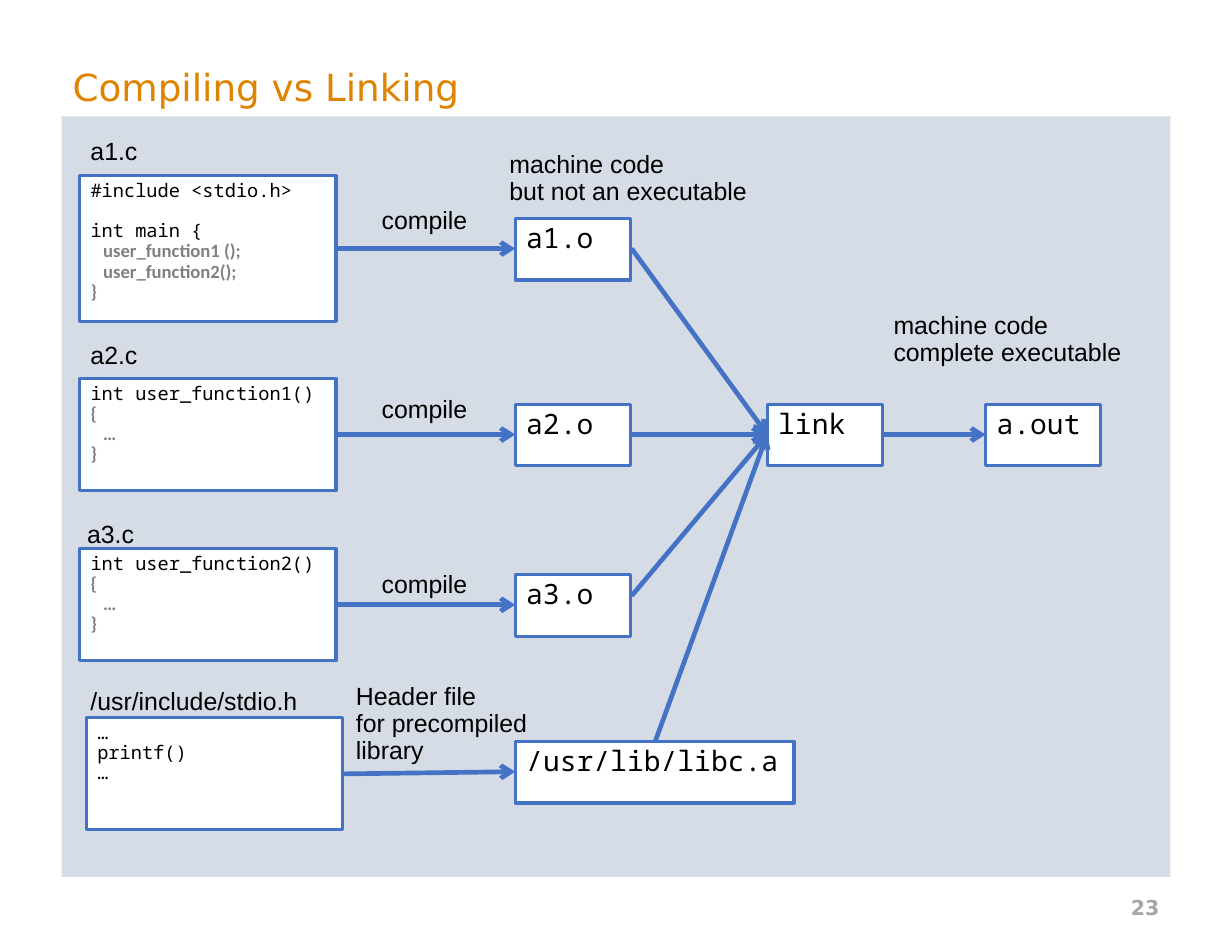
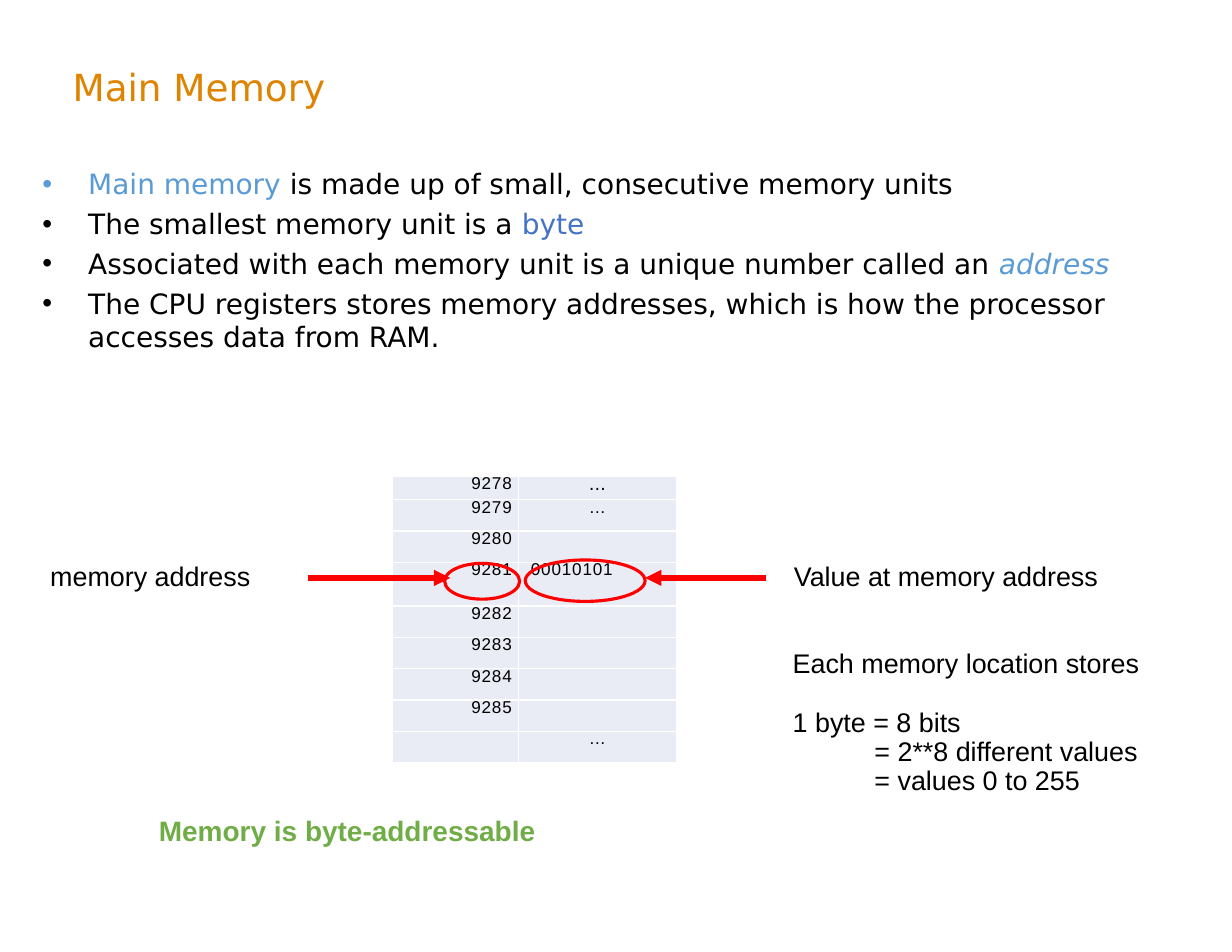
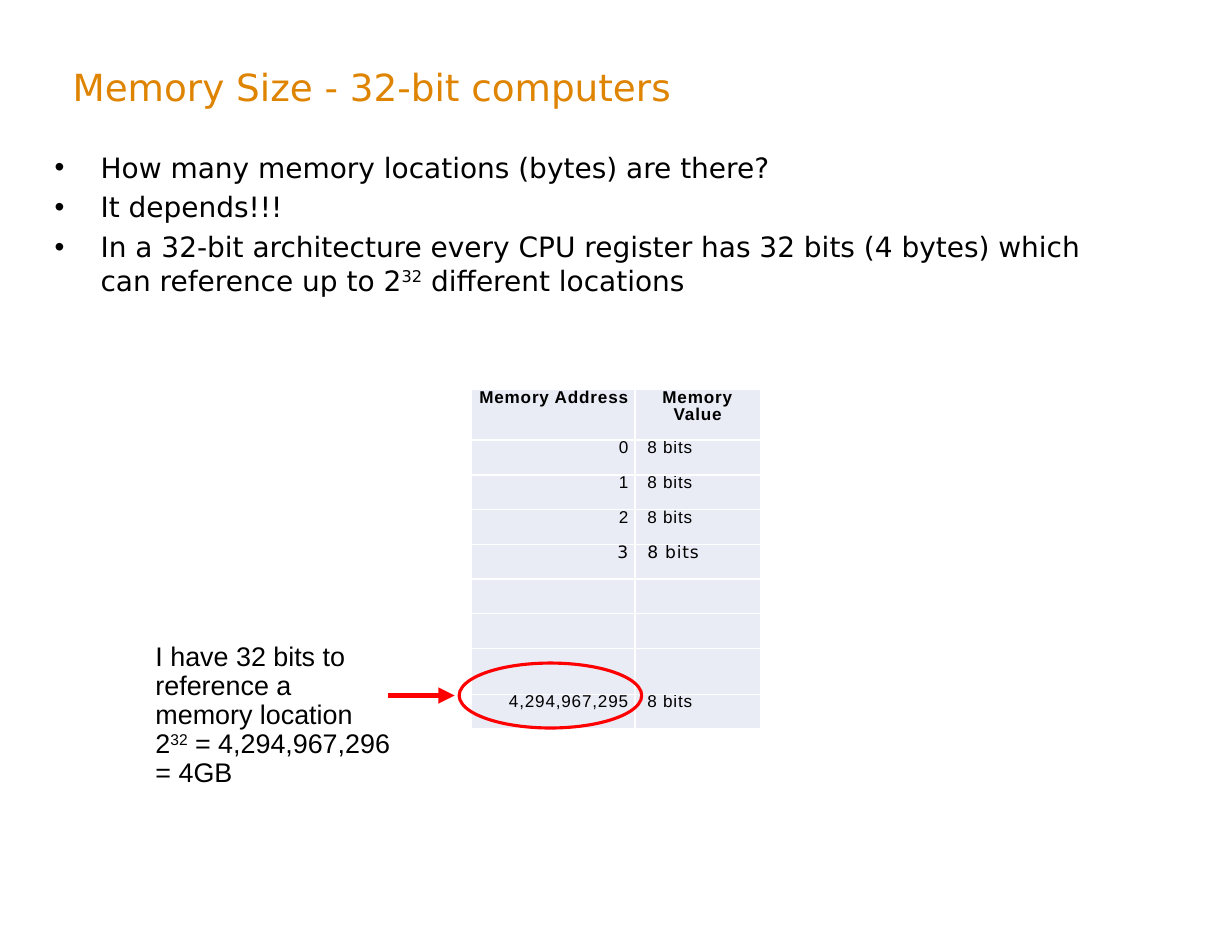
import pptx
import pptx.dml.color
import pptx.enum.shapes
import pptx.enum.text
import pptx.oxml.ns
import pptx.util
import lxml.etree

SCALE = 9144
WHITE, BLACK, GRAY, PALE = "FFFFFF", "000000", "808080", "A6A6A6"
ORANGE, BLUE, SKY, GREEN, RED = "DE8400", "4472C4", "5B9BD5", "70AD47", "FF0000"
PANEL, CELL = "D6DCE5", "E9EBF5"

TITLE = dict(font="DejaVu Sans", size=24, color=ORANGE)
NUMBER = dict(font="DejaVu Sans", size=13.2, color=PALE, bold=True)
BODY = dict(font="DejaVu Sans", size=18)
LABEL = dict(font="Arial", size=16)
NOTE = dict(font="Arial", size=17.3)
CODE = dict(font="Noto Sans Mono", size=12)
FADED = dict(font="Calibri", size=12, color=GRAY, bold=True)
FILE = dict(font="Noto Sans Mono", size=18)
VALUE = dict(font="Arial", size=11, track=50)
HEAD = dict(VALUE, bold=True)
ODD = dict(VALUE, font="DejaVu Sans")

ALIGN = pptx.enum.text.PP_ALIGN
SHAPE = pptx.enum.shapes.MSO_SHAPE


def px(count):
    return pptx.util.Emu(count * SCALE)


def place(box, x, y, w=0, h=0):
    return box[0] + x, box[1] + y, w, h


def paint(color):
    return pptx.dml.color.RGBColor.from_string(color)


def node(parent, tag, **attrs):
    return lxml.etree.SubElement(parent, pptx.oxml.ns.qn(tag), **attrs)


def add_run(para, text, font, size, color=BLACK, bold=False, slant=False, track=0, base=0):
    run = para.add_run()
    run.text = text
    run.font.name = font
    run.font.size = pptx.util.Pt(size)
    run.font.bold = bold
    run.font.italic = slant
    run.font.color.rgb = paint(color)
    props = run._r.get_or_add_rPr()
    if track:
        props.set("spc", str(track))
    if base:
        props.set("baseline", str(base))


def add_para(frame, runs, align=ALIGN.LEFT, dense=0.9, gap=0, left=0, dot=False):
    para = frame.paragraphs[-1]
    if para.runs:
        para = frame.add_paragraph()
    para.alignment = align
    para.line_spacing = dense
    para.space_before = pptx.util.Pt(gap)
    props = para._p.get_or_add_pPr()
    if left:
        props.set("marL", str(px(left)))
    if dot:
        props.set("indent", str(-px(left)))
        node(props, "a:buFont", typeface="Arial")
        node(props, "a:buChar", char="•")
    for text, style in runs:
        add_run(para, text, **style)


def add_text(slide, box, wrap=True):
    frame = slide.shapes.add_textbox(*map(px, box)).text_frame
    frame.word_wrap = wrap
    return frame


def add_note(slide, box, lines, style, wrap=False):
    frame = add_text(slide, box, wrap)
    frame.auto_size = pptx.enum.text.MSO_AUTO_SIZE.SHAPE_TO_FIT_TEXT
    for line in lines:
        add_para(frame, [(line, style)])
    return frame


def add_shape(slide, kind, box, fill=None, line=None):
    shape = slide.shapes.add_shape(kind, *map(px, box))
    shape.shadow.inherit = False
    if fill:
        shape.fill.solid()
        shape.fill.fore_color.rgb = paint(fill)
    else:
        shape.fill.background()
    if line:
        shape.line.color.rgb = paint(line)
        shape.line.width = pptx.util.Pt(2)
    else:
        shape.line.fill.background()
    return shape


def add_card(slide, box, lines):
    frame = add_shape(slide, SHAPE.RECTANGLE, box, WHITE, BLUE).text_frame
    frame.word_wrap = True
    frame.vertical_anchor = pptx.enum.text.MSO_ANCHOR.TOP
    for text, style, gap in lines:
        add_para(frame, [(text, style)], gap=gap)


def add_arrow(slide, box, start, end, color=BLUE, width=3, tip="arrow"):
    ends = place(box, *start)[:2] + place(box, *end)[:2]
    kind = pptx.enum.shapes.MSO_CONNECTOR.STRAIGHT
    link = slide.shapes.add_connector(kind, *map(px, ends))
    link.line.color.rgb = paint(color)
    link.line.width = pptx.util.Pt(width)
    props = link._element.spPr
    node(props.find(pptx.oxml.ns.qn("a:ln")), "a:tailEnd", type=tip)
    node(props, "a:effectLst")


def add_mark(slide, box, oval, start, end):
    add_arrow(slide, box, start, end, RED, 3.5, "triangle")
    add_shape(slide, SHAPE.OVAL, place(box, *oval), line=RED)


def add_title(slide, text):
    frame = add_text(slide, (55, 34, 990, 87))
    frame.vertical_anchor = pptx.enum.text.MSO_ANCHOR.MIDDLE
    add_para(frame, [(text, TITLE)], dense=1)


def add_number(slide, text):
    frame = add_text(slide, (788, 788, 257, 45))
    frame.vertical_anchor = pptx.enum.text.MSO_ANCHOR.MIDDLE
    add_para(frame, [(text, NUMBER)], ALIGN.RIGHT, dense=1)


def add_points(slide, box, points):
    frame = add_text(slide, box)
    for index, runs in enumerate(points):
        add_para(frame, runs, dense=1, gap=4 if index else 0, left=41, dot=True)


def fill_cell(cell, text, style, align, left):
    cell.margin_left = cell.margin_right = px(6)
    cell.margin_top = cell.margin_bottom = 0
    props = cell._tc.get_or_add_tcPr()
    for side in ("a:lnL", "a:lnR", "a:lnT", "a:lnB"):
        edge = node(props, side, w=str(pptx.util.Pt(1)))
        node(node(edge, "a:solidFill"), "a:srgbClr", val=WHITE)
    cell.fill.solid()
    cell.fill.fore_color.rgb = paint(CELL)
    if text:
        add_para(cell.text_frame, [(text, style)], align, left=left)
    else:
        node(cell.text_frame.paragraphs[0]._p, "a:endParaRPr", sz="1100")


def add_grid(slide, box, widths, rows, centred):
    size = sum(widths), sum(row[0] for row in rows)
    spot = place(box, 0, 0, *size)
    table = slide.shapes.add_table(len(rows), len(widths), *map(px, spot)).table
    table.first_row = table.horz_banding = False
    for col, width in zip(table.columns, widths):
        col.width = px(width)
    for index, (height, first, second, *styles) in enumerate(rows):
        table.rows[index].height = px(height)
        left, right = styles or (VALUE, VALUE)
        fill_cell(table.cell(index, 0), first, left, ALIGN.RIGHT, 0)
        mid = second in centred
        align = ALIGN.CENTER if mid else ALIGN.LEFT
        fill_cell(table.cell(index, 1), second, right, align, 0 if mid else 5)


def draw_build(slide, box):
    add_shape(slide, SHAPE.RECTANGLE, box, PANEL)
    stub = [("{", FADED, 0), ("   …", FADED, 0), ("}", FADED, 0)]
    main = [("#include <stdio.h>", CODE, 0), ("int main {", CODE, 13),
            ("   user_function1 ();", FADED, 0), ("   user_function2();", FADED, 0),
            ("}", FADED, 0)]
    units = [
        ("a1.c", (16, 15), 53, 130, main, "a1.o", 91, 77, 118),
        ("a2.c", (16, 197), 234, 100, [("int user_function1()", CODE, 0)] + stub,
         "a2.o", 257, 246, 284),
        ("a3.c", (13, 357), 386, 100, [("int user_function2()", CODE, 0)] + stub,
         "a3.o", 409, 402, 428),
    ]
    goal = (630, 284)
    for name, spot, top, height, lines, out, level, word, leave in units:
        add_card(slide, place(box, 16, top, 229, height), lines)
        add_note(slide, place(box, *spot, 63, 34), [name], LABEL)
        add_card(slide, place(box, 405, level, 103, 55), [(out, FILE, 0)])
        add_arrow(slide, box, (245, level + 27), (405, level + 27))
        add_note(slide, place(box, 276, word, 97, 34), ["compile"], LABEL)
        add_arrow(slide, box, (509, leave), goal)

    header = [("…", CODE, 0), ("printf()", CODE, 0), ("…", CODE, 0)]
    add_card(slide, place(box, 22, 537, 229, 100), header)
    add_note(slide, place(box, 16, 506, 207, 34), ["/usr/include/stdio.h"], LABEL)
    add_card(slide, place(box, 405, 558, 249, 55), [("/usr/lib/libc.a", FILE, 0)])
    add_arrow(slide, box, (251, 587), (405, 585))
    add_note(slide, place(box, 253, 502, 175, 83),
             ["Header file", "for precompiled", "library"], LABEL)

    for name, left in (("link", 630), ("a.out", 825)):
        add_card(slide, place(box, left, 257, 103, 55), [(name, FILE, 0)])
    add_arrow(slide, box, (530, 558), goal)
    add_arrow(slide, box, (733, 284), (825, 284))
    add_note(slide, place(box, 733, 171, 226, 59),
             ["machine code", "complete executable"], LABEL)
    add_note(slide, place(box, 390, 27, 235, 59),
             ["machine code", "but not an executable"], LABEL)


def draw_bytes(slide, box):
    rows = [(21, "9278", "…", VALUE, ODD), (28, "9279", "…"), (28, "9280", ""),
            (39, "9281", "00010101")]
    rows += [(28, str(spot), "") for spot in range(9282, 9286)]
    rows += [(28, "", "…")]
    add_grid(slide, place(box, 315, 0), (113, 141), rows, ("…",))
    add_mark(slide, box, (434, 75, 107, 37), (649, 91), (541, 91))
    add_mark(slide, box, (362, 78, 67, 32), (240, 91), (367, 91))
    add_note(slide, place(box, 0, 73, 238, 36), ["memory address"], NOTE, True)
    add_note(slide, place(box, 664, 73, 304, 36), ["Value at memory address"], NOTE, True)
    add_note(slide, place(box, 97, 300, 498, 38), ["Memory is byte-addressable"],
             dict(font="Arial", size=18, color=GREEN, bold=True), True)
    frame = add_note(slide, place(box, 663, 151, 347, 141),
                     ["Each memory location stores"], NOTE)
    add_para(frame, [("1 byte = 8 bits", NOTE)], gap=18.7)
    for line in ("= 2**8 different values", "= values 0 to 255"):
        add_para(frame, [(line, NOTE)], left=73)


def draw_range(slide, box):
    rows = [(45, "Memory Address", "Memory Value", HEAD, HEAD)]
    rows += [(31, str(spot), "8 bits") for spot in range(3)]
    rows += [(31, "3", "8 bits", ODD, ODD)]
    rows += [(height, "", "") for height in (31, 31, 41)]
    rows += [(31, "4,294,967,295", "8 bits")]
    add_grid(slide, place(box, 292, 0), (146, 112), rows, ("Memory Value",))
    add_mark(slide, box, (281, 244, 163, 58), (217, 273), (277, 273))
    frame = add_note(slide, place(box, 0, 221, 236, 141),
                     ["I have 32 bits to reference a", "memory location"], NOTE, True)
    add_para(frame, [("2", NOTE), ("32", dict(NOTE, base=30000)),
                     (" = 4,294,967,296 = 4GB", NOTE)])


def main():
    deck = pptx.Presentation()
    deck.slide_width, deck.slide_height = px(1100), px(850)
    titles = ("Compiling vs Linking", "Main Memory", "Memory Size - 32-bit computers")
    slides = []
    for title in titles:
        slide = deck.slides.add_slide(deck.slide_layouts[6])
        add_title(slide, title)
        slides.append(slide)
    build, memory, size = slides

    add_number(build, "23")
    draw_build(build, (55, 104, 990, 679))

    add_points(memory, (28, 144, 990, 393), [
        [("Main memory ", dict(BODY, color=SKY)),
         ("is made up of small, consecutive memory units", BODY)],
        [("The smallest memory unit is a ", BODY), ("byte", dict(BODY, color=BLUE))],
        [("Associated with each memory unit is a unique number called an ", BODY),
         ("address", dict(BODY, color=SKY, slant=True))],
        [("The CPU registers stores memory addresses, which is how the processor "
          "accesses data from RAM.", BODY)],
    ])
    draw_bytes(memory, (35, 425, 1010, 338))

    add_points(size, (39, 129, 949, 129), [
        [("How many memory locations (bytes) are there?", BODY)],
        [("It depends!!!", BODY)],
        [("In a 32-bit architecture every CPU register has 32 bits (4 bytes) which "
          "can reference up to 2", BODY), ("32", dict(BODY, base=30000)),
         (" different locations", BODY)],
    ])
    draw_range(size, (129, 348, 550, 362))
    deck.save("out.pptx")


if __name__ == "__main__":
    main()
